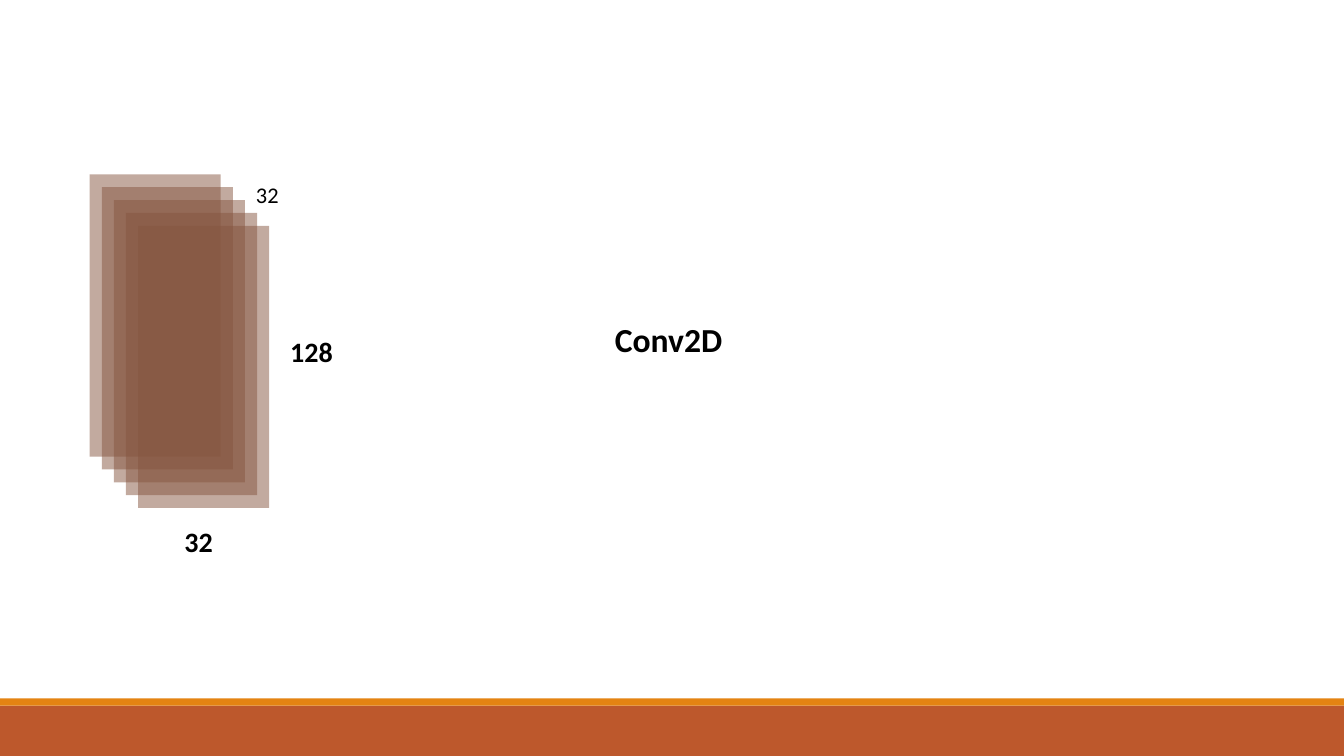
"""Build a slide showing a 32 x 128 x 32 stack of feature maps and a Conv2D label."""
import lxml.etree
import pptx
import pptx.dml.color
import pptx.enum.shapes
import pptx.oxml.ns
import pptx.util

Inches = pptx.util.Inches
THEME = {
    "font": "Calibri",
    "text": "000000",
    "band": "BD582C",
    "stripe": "E48312",
    "map": "865640",
    "small": 16,
    "label": 20,
    "heading": 24,
}


def add_rect(s, left, top, width, height, color, alpha=None):
    sp = s.shapes.add_shape(
        pptx.enum.shapes.MSO_SHAPE.RECTANGLE,
        Inches(left), Inches(top), Inches(width), Inches(height))
    sp.shadow.inherit = False
    sp.line.fill.background()
    sp.fill.solid()
    sp.fill.fore_color.rgb = pptx.dml.color.RGBColor.from_string(THEME[color])
    if alpha is not None:
        clr = sp.fill._xPr.find(".//" + pptx.oxml.ns.qn("a:srgbClr"))
        lxml.etree.SubElement(clr, pptx.oxml.ns.qn("a:alpha"), val=str(alpha * 1000))


def add_text(s, text, left, top, width=0.91, height=0.52, size="label",
             bold=True, spacing=1.07, after=8):
    sp = s.shapes.add_textbox(Inches(left), Inches(top), Inches(width), Inches(height))
    tf = sp.text_frame
    tf.word_wrap = True
    p = tf.paragraphs[0]
    p.line_spacing = spacing
    p.space_after = pptx.util.Pt(after)
    r = p.add_run()
    r.text = text
    r.font.name = THEME["font"]
    r.font.size = pptx.util.Pt(THEME[size])
    r.font.bold = bold
    r.font.color.rgb = pptx.dml.color.RGBColor.from_string(THEME["text"])


prs = pptx.Presentation()
prs.slide_width = Inches(13.33)
prs.slide_height = Inches(7.5)
s = prs.slides.add_slide(prs.slide_layouts[6])

add_rect(s, 0, 7, 13.33, 0.5, "band")
add_rect(s, 0, 6.93, 13.33, 0.07, "stripe")

for i in range(5):
    add_rect(s, 0.89 + 0.12 * i, 1.73 + 0.1275 * i, 1.3, 2.8, "map", alpha=50)

add_text(s, "32", 1.73, 5.13)
add_text(s, "128", 2.78, 3.25)
add_text(s, "32", 2.44, 1.73, size="small", bold=False)
add_text(s, "Conv2D", 6, 3.11, width=2.5, height=0.5, size="heading", spacing=1.0, after=0)

prs.save("out.pptx")
